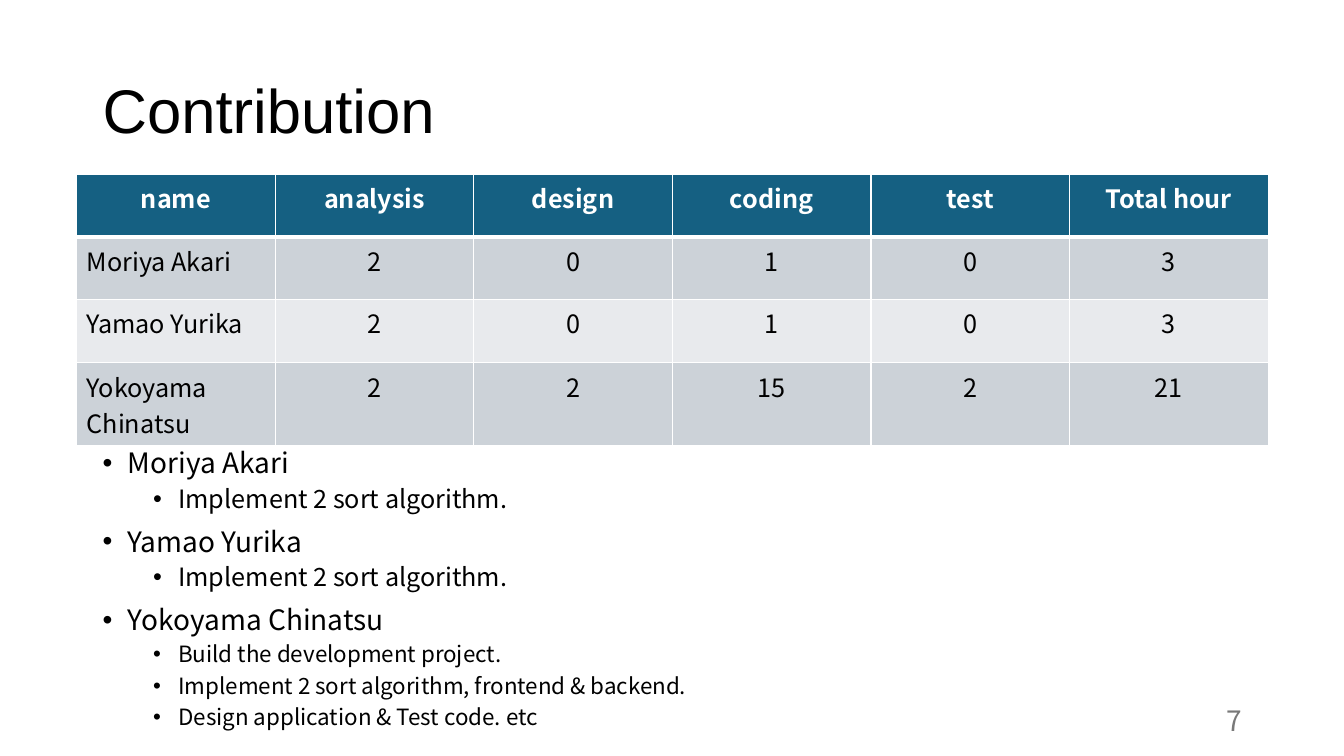
from lxml import etree
from pptx import Presentation
from pptx.dml.color import RGBColor
from pptx.enum.text import MSO_ANCHOR, PP_ALIGN
from pptx.oxml.ns import qn
from pptx.util import Inches, Pt

LEFT, CENTER, RIGHT = PP_ALIGN.LEFT, PP_ALIGN.CENTER, PP_ALIGN.RIGHT
TOP, MIDDLE = MSO_ANCHOR.TOP, MSO_ANCHOR.MIDDLE

TITLE = "Contribution"
PAGE_NUMBER = "7"
HOURS = [
    ("name", "analysis", "design", "coding", "test", "Total hour"),
    ("Moriya Akari", "2", "0", "1", "0", "3"),
    ("Yamao Yurika", "2", "0", "1", "0", "3"),
    ("Yokoyama Chinatsu", "2", "2", "15", "2", "21"),
]
# member, size of the task lines, tasks
TASKS = [
    ("Moriya Akari", 18, ["Implement 2 sort algorithm."]),
    ("Yamao Yurika", 18, ["Implement 2 sort algorithm."]),
    ("Yokoyama Chinatsu", 16, [
        "Build the development project.",
        "Implement 2 sort algorithm, frontend & backend.",
        "Design application & Test code. etc",
    ]),
]

THEME = {
    "heading_font": "Arial", "body_font": "Noto Sans CJK JP",
    "text": "000000", "page_number": "797979", "white": "FFFFFF",
    "header": "156082", "bands": ("CCD2D8", "E8EAED"),
    "title_size": 44, "member_size": 20, "table_size": 18, "page_size": 20,
}
TITLE_BOX = (0.92, 0.4, 11.5, 1.45)
TASK_BOX = (0.92, 4.41, 11.5, 3)
PAGE_BOX = (9.42, 6.95, 3, 0.4)
TABLE_LEFT, TABLE_TOP = 0.76, 1.73
COLUMN_WIDTH = 1.97
ROW_HEIGHTS = (0.62, 0.62, 0.63, 0.82)  # the last name takes two lines
BULLET_INDENT = 0.25
LINE_SPACING = 0.9


def write(paragraph, text, size, color=THEME["text"], font=THEME["body_font"],
          bold=False, **paragraph_format):
    run = paragraph.add_run()
    run.text = text
    font_format = {"name": font, "size": Pt(size), "bold": bold}
    for name, value in font_format.items():
        setattr(run.font, name, value)
    run.font.color.rgb = RGBColor.from_string(color)
    for name, value in paragraph_format.items():
        setattr(paragraph, name, value)


def add_text_frame(slide, box, anchor):
    text_frame = slide.shapes.add_textbox(*map(Inches, box)).text_frame
    text_frame.word_wrap = True
    text_frame.vertical_anchor = anchor
    return text_frame


def add_bullet(paragraph, level):
    properties = paragraph._p.get_or_add_pPr()
    properties.set("marL", str(Inches(BULLET_INDENT + 0.5 * level)))
    properties.set("indent", str(-Inches(BULLET_INDENT)))
    etree.SubElement(properties, qn("a:buFont"), typeface="Arial")
    etree.SubElement(properties, qn("a:buChar"), char="•")


def set_borders(cell, widths):
    """Draw white borders; widths maps L, R, T, B to points, in that order."""
    properties = cell._tc.get_or_add_tcPr()
    for side, width in widths.items():
        line = etree.SubElement(properties, qn(f"a:ln{side}"), w=str(Pt(width)))
        fill = etree.SubElement(line, qn("a:solidFill"))
        etree.SubElement(fill, qn("a:srgbClr"), val=THEME["white"])


def add_hours_table(slide):
    row_count, column_count = len(HOURS), len(HOURS[0])
    table = slide.shapes.add_table(
        row_count, column_count, Inches(TABLE_LEFT), Inches(TABLE_TOP),
        Inches(COLUMN_WIDTH * column_count), Inches(sum(ROW_HEIGHTS))).table
    for row_index, (values, height) in enumerate(zip(HOURS, ROW_HEIGHTS)):
        table.rows[row_index].height = Inches(height)
        is_header = row_index == 0
        fill = THEME["header"] if is_header else THEME["bands"][(row_index - 1) % 2]
        borders = {"L": 1, "R": 1, "T": 3 if row_index == 1 else 1,
                   "B": 3 if is_header else 1}
        for column_index, value in enumerate(values):
            cell = table.cell(row_index, column_index)
            set_borders(cell, borders)
            cell.fill.solid()
            cell.fill.fore_color.rgb = RGBColor.from_string(fill)
            write(cell.text_frame.paragraphs[0], value, THEME["table_size"],
                  color=THEME["white"] if is_header else THEME["text"],
                  bold=is_header,
                  alignment=CENTER if is_header or column_index else LEFT)


def add_task_list(slide):
    text_frame = add_text_frame(slide, TASK_BOX, TOP)
    lines = []
    for member, task_size, tasks in TASKS:
        lines.append((member, THEME["member_size"], 0))
        lines += [(task, task_size, 1) for task in tasks]
    for index, (text, size, level) in enumerate(lines):
        paragraph = text_frame.add_paragraph() if index else text_frame.paragraphs[0]
        write(paragraph, text, size, level=level, line_spacing=LINE_SPACING,
              space_before=Pt(5 if level else 10))
        add_bullet(paragraph, level)


def main():
    presentation = Presentation()
    presentation.slide_width = Inches(13.33)
    presentation.slide_height = Inches(7.5)
    slide = presentation.slides.add_slide(presentation.slide_layouts[6])
    write(add_text_frame(slide, TITLE_BOX, MIDDLE).paragraphs[0], TITLE,
          THEME["title_size"], font=THEME["heading_font"], line_spacing=LINE_SPACING)
    add_hours_table(slide)
    write(add_text_frame(slide, PAGE_BOX, MIDDLE).paragraphs[0], PAGE_NUMBER,
          THEME["page_size"], color=THEME["page_number"], alignment=RIGHT)
    add_task_list(slide)
    presentation.save("out.pptx")


if __name__ == "__main__":
    main()
